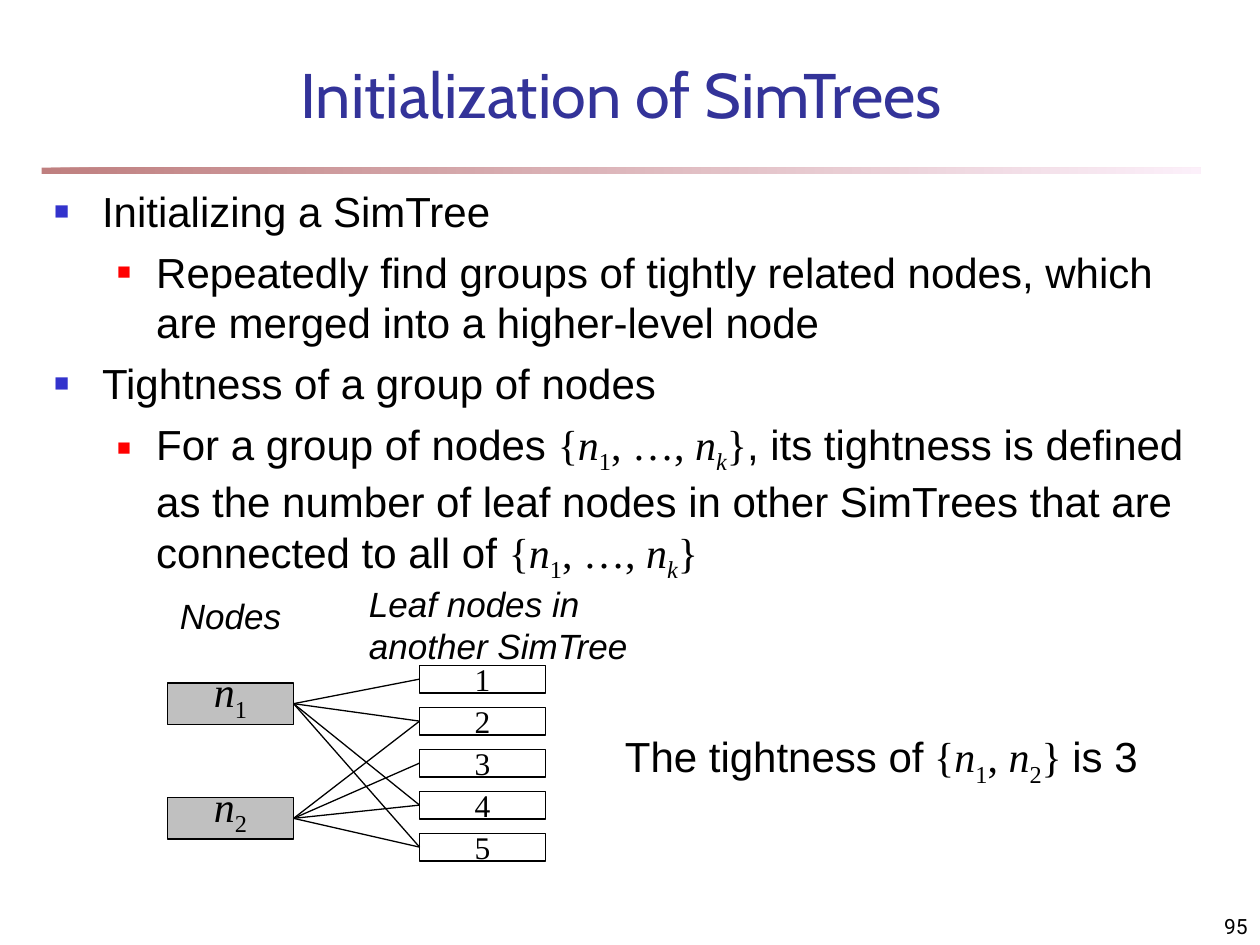
from lxml import etree
from pptx import Presentation
from pptx.dml.color import RGBColor
from pptx.enum.shapes import MSO_CONNECTOR, MSO_SHAPE
from pptx.enum.text import MSO_ANCHOR, MSO_AUTO_SIZE, PP_ALIGN
from pptx.oxml.ns import qn
from pptx.util import Inches, Pt

RECTANGLE = MSO_SHAPE.RECTANGLE
STRAIGHT = MSO_CONNECTOR.STRAIGHT
MIDDLE, BOTTOM = MSO_ANCHOR.MIDDLE, MSO_ANCHOR.BOTTOM
LEFT, CENTER, RIGHT = PP_ALIGN.LEFT, PP_ALIGN.CENTER, PP_ALIGN.RIGHT
RIGHT_SIDE, LEFT_SIDE = 3, 1

COLORS = {
    name: RGBColor.from_string(value)
    for name, value in {
        "text": "000000",
        "title": "333399",
        "bullet": "3333CC",
        "sub_bullet": "FF0000",
        "node": "C0C0C0",
        "leaf": "FFFFFF",
        "rule_start": "800000",
        "rule_end": "FAE2F6",
    }.items()
}

# Style: font, italic, subscript
STYLES = {
    "plain": ("Arial", False, False),
    "slanted": ("Arial", True, False),
    "title": ("Cabin", False, False),
    "number": ("Roboto", False, False),
    "math": ("Times New Roman", False, False),
    "variable": ("Times New Roman", True, False),
    "index": ("Times New Roman", False, True),
    "variable_index": ("Times New Roman", True, True),
}


def write_runs(paragraph, pieces, size, color="text"):
    """Add (text, style name) pieces to the paragraph as formatted runs."""
    for text, style in pieces:
        run = paragraph.add_run()
        run.text = text
        font_name, italic, subscript = STYLES[style]
        run.font.name = font_name
        run.font.italic = italic
        run.font.size = Pt(size)
        run.font.color.rgb = COLORS[color]
        if subscript:
            run.font._element.set("baseline", "-25000")


def add_box(left, top, width, height, fill, pieces, size):
    """Add an outlined rectangle with a centred label."""
    box = slide.shapes.add_shape(
        RECTANGLE, Inches(left), Inches(top), Inches(width), Inches(height))
    box.shadow.inherit = False
    box.fill.solid()
    box.fill.fore_color.rgb = COLORS[fill]
    box.line.color.rgb = COLORS["text"]
    box.line.width = Pt(0.75)
    frame = box.text_frame
    frame.word_wrap = False
    frame.vertical_anchor = MIDDLE
    frame.paragraphs[0].alignment = CENTER
    write_runs(frame.paragraphs[0], pieces, size)
    return box


presentation = Presentation()
presentation.slide_width = Inches(10)
presentation.slide_height = Inches(7.5)
slide = presentation.slides.add_slide(presentation.slide_layouts[1])

# Rule below the title
rule = slide.shapes.add_shape(
    RECTANGLE, Inches(0.33), Inches(1.33), Inches(9.2), Inches(0.05))
rule.shadow.inherit = False
rule.line.fill.background()
rule.fill.gradient()
rule.fill.gradient_angle = 0
for stop, name in zip(rule.fill.gradient_stops, ("rule_start", "rule_end")):
    stop.color.rgb = COLORS[name]
for color in rule._element.spPr.iter(qn("a:srgbClr")):
    etree.SubElement(color, qn("a:alpha"), val="50000")

# Title
title = slide.shapes.title
title.left, title.top = Inches(0.67), Inches(0.42)
title.width, title.height = Inches(8.52), Inches(0.67)
title.text_frame.auto_size = MSO_AUTO_SIZE.NONE
title.text_frame.vertical_anchor = BOTTOM
title.text_frame.paragraphs[0].alignment = CENTER
write_runs(title.text_frame.paragraphs[0],
           [("Initialization of SimTrees", "title")], 36, "title")

# Bulleted list
node_group = [("{", "math"), ("n", "variable"), ("1", "index"), (", …, ", "math"),
              ("n", "variable"), ("k", "variable_index"), ("}", "math")]
bullets = [
    (0, [("Initializing a SimTree", "plain")]),
    (1, [("Repeatedly find groups of tightly related nodes, which are merged "
          "into a higher-level node", "plain")]),
    (0, [("Tightness of a group of nodes", "plain")]),
    (1, [("For a group of nodes ", "plain"), *node_group,
         (", its tightness is defined as the number of leaf nodes in other "
          "SimTrees that are connected to all of ", "plain"), *node_group]),
]
# Level: left margin, indent, bullet colour, bullet size in percent
LEVELS = [(0.38, -0.38, "bullet", 60), (0.81, -0.31, "sub_bullet", 55)]

body = slide.placeholders[1]
body.left, body.top = Inches(0.33), Inches(1.42)
body.width, body.height = Inches(9.17), Inches(3.42)
body.text_frame.auto_size = MSO_AUTO_SIZE.NONE
for number, (level, pieces) in enumerate(bullets):
    paragraph = (body.text_frame.add_paragraph() if number
                 else body.text_frame.paragraphs[0])
    paragraph.level = level
    paragraph.space_before = Pt(6)
    write_runs(paragraph, pieces, 24)
    margin, indent, bullet_color, percent = LEVELS[level]
    properties = paragraph._p.get_or_add_pPr()
    properties.set("marL", str(Inches(margin)))
    properties.set("indent", str(Inches(indent)))
    bullet_fill = etree.SubElement(properties, qn("a:buClr"))
    etree.SubElement(bullet_fill, qn("a:srgbClr"), val=str(COLORS[bullet_color]))
    etree.SubElement(properties, qn("a:buSzPct"), val=str(percent * 1000))
    etree.SubElement(properties, qn("a:buFont"), typeface="Arial")
    etree.SubElement(properties, qn("a:buChar"), char="■")

# Nodes and the leaf nodes they are linked to
nodes = []
for number, top in enumerate((5.42, 6.33), start=1):
    node = add_box(1.33, top, 1, 0.33, "node",
                   [("n", "variable"), (str(number), "index")], 24)
    node.text_frame.margin_top = 0
    node.text_frame.margin_bottom = Inches(0.15)
    nodes.append(node)

leaves = [
    add_box(3.33, 5.28 + row / 3, 1, 0.22, "leaf", [(str(row + 1), "math")], 18)
    for row in range(5)
]

for node, linked_leaves in zip(nodes, ((1, 2, 4, 5), (2, 3, 4, 5))):
    for leaf_number in linked_leaves:
        link = slide.shapes.add_connector(STRAIGHT, 0, 0, 0, 0)
        link.begin_connect(node, RIGHT_SIDE)
        link.end_connect(leaves[leaf_number - 1], LEFT_SIDE)
        link.line.color.rgb = COLORS["text"]
        link.line.width = Pt(0.75)
        etree.SubElement(link._element.spPr, qn("a:effectLst"))

# Captions, conclusion and page number
conclusion = [("The tightness of", "plain"), (" {", "math"), ("n", "variable"),
              ("1", "index"), (", ", "math"), ("n", "variable"), ("2", "index"),
              ("} ", "math"), ("is 3", "plain")]
texts = [
    (4.83, 5.75, 4.33, 0.56, CENTER, 15, conclusion, 24),
    (1.33, 4.67, 1.17, 0.44, LEFT, 12.5, [("Nodes", "slanted")], 20),
    (2.83, 4.57, 2.25, 1.1, LEFT, 12.5,
     [("Leaf nodes in another SimTree", "slanted")], 20),
    (7.92, 7.08, 2.08, 0.42, RIGHT, 0, [("95", "number")], 12),
]
for left, top, width, height, alignment, space, pieces, size in texts:
    text_box = slide.shapes.add_textbox(
        Inches(left), Inches(top), Inches(width), Inches(height))
    text_box.text_frame.word_wrap = True
    paragraph = text_box.text_frame.paragraphs[0]
    paragraph.alignment = alignment
    paragraph.space_before = Pt(space)
    write_runs(paragraph, pieces, size)
text_box.text_frame.vertical_anchor = BOTTOM

presentation.save("out.pptx")
